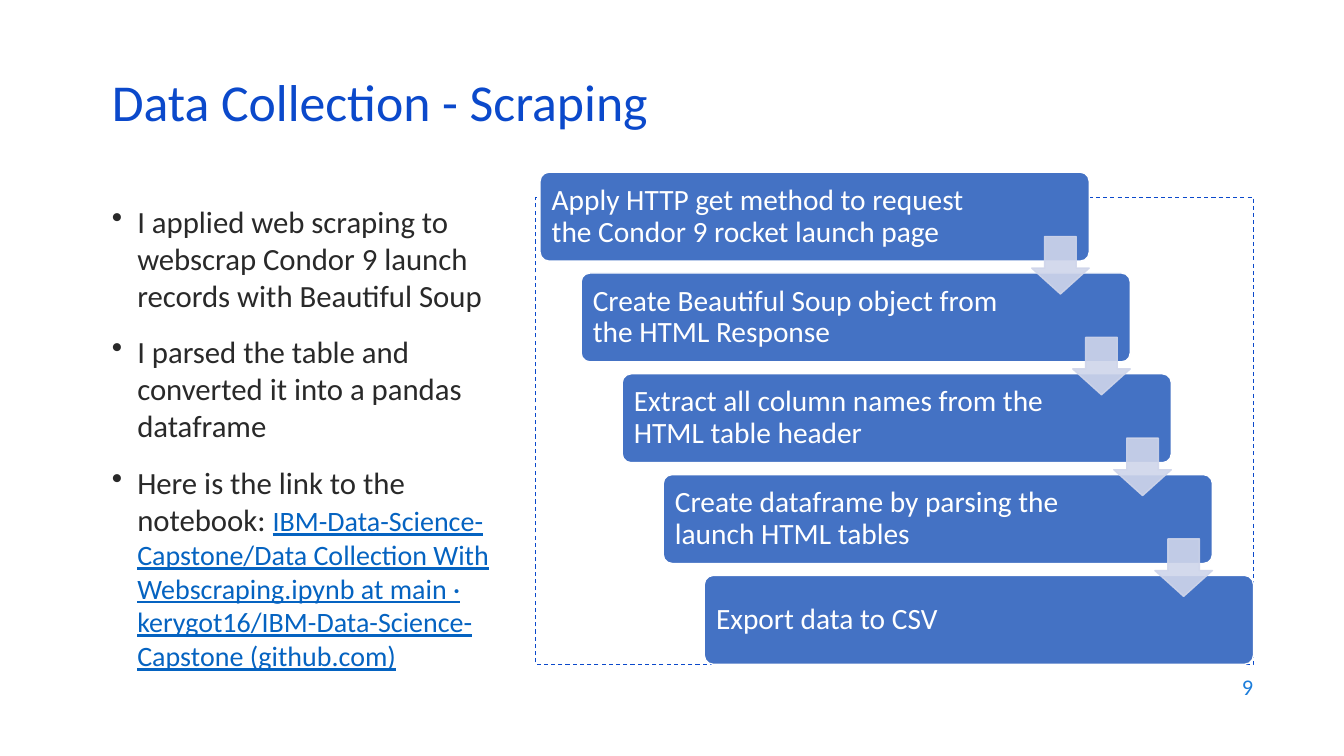
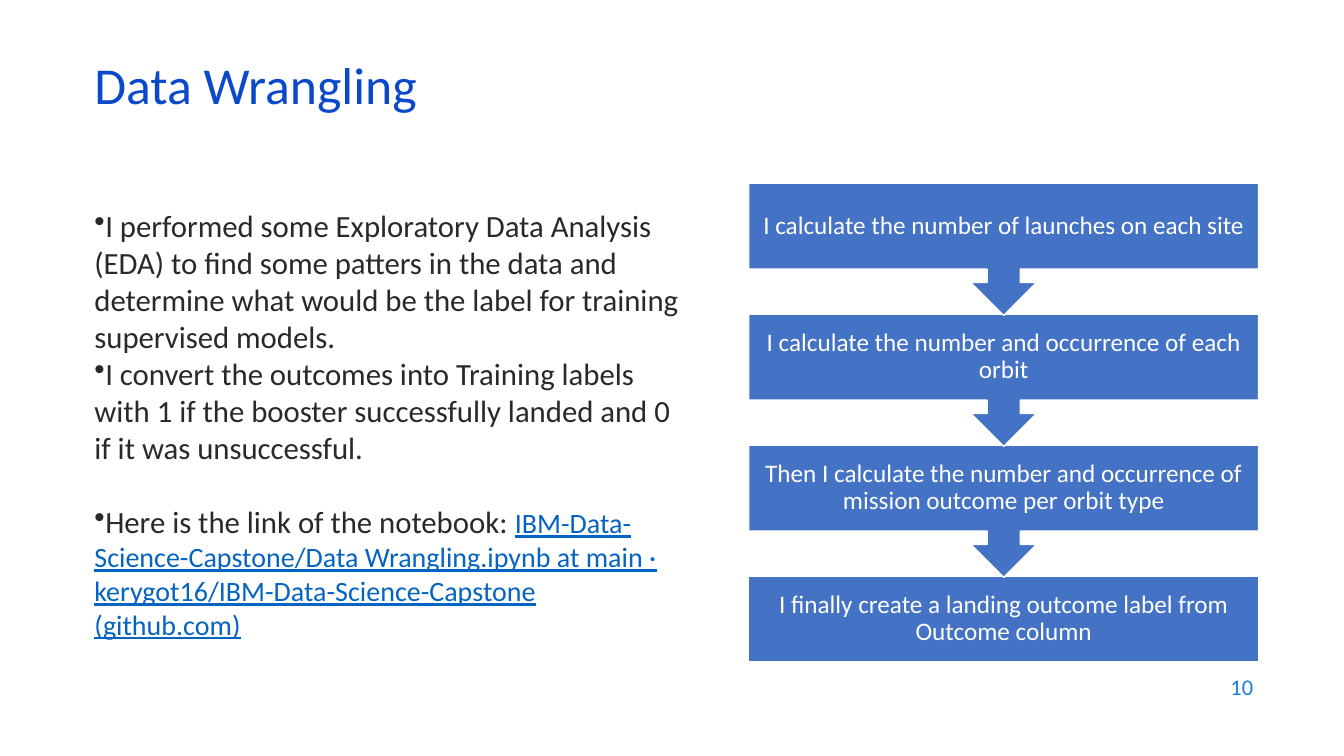
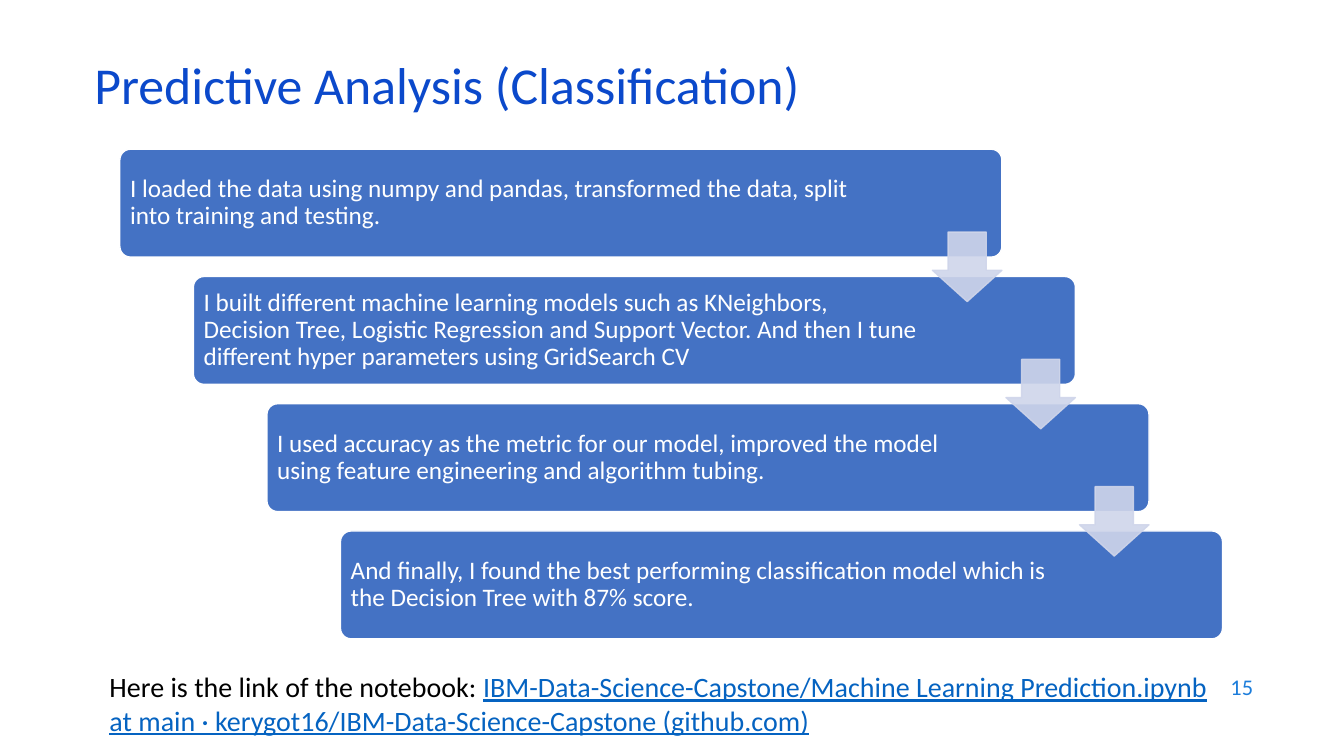
"""Builds three slides on collecting, wrangling and modelling launch data."""
from dataclasses import dataclass

from lxml import etree
from pptx import Presentation
from pptx.dml.color import RGBColor
from pptx.enum.dml import MSO_LINE
from pptx.enum.shapes import MSO_SHAPE
from pptx.enum.text import MSO_ANCHOR, PP_ALIGN
from pptx.oxml.ns import qn
from pptx.util import Cm, Pt

RECT, ROUND = MSO_SHAPE.RECTANGLE, MSO_SHAPE.ROUNDED_RECTANGLE
ARROW, CALLOUT = MSO_SHAPE.DOWN_ARROW, MSO_SHAPE.DOWN_ARROW_CALLOUT
TOP, MIDDLE = MSO_ANCHOR.TOP, MSO_ANCHOR.MIDDLE
LEFT, CENTER, RIGHT = PP_ALIGN.LEFT, PP_ALIGN.CENTER, PP_ALIGN.RIGHT
DASH = MSO_LINE.DASH


@dataclass(frozen=True)
class Theme:
    """Holds the font, colours and type sizes."""
    font: str = "Calibri"
    title: str = "0B49CB"
    page: str = "1C7DDB"
    body: str = "292929"
    black: str = "000000"
    white: str = "FFFFFF"
    link: str = "0563C1"
    box: str = "4472C4"
    arrow: str = "CFD5EA"
    head_pt: int = 37
    body_pt: int = 22
    step_pt: int = 21
    link_pt: int = 20
    small_pt: int = 18
    page_pt: int = 16


T = Theme()

SCRAPE = {
    "page": "9",
    "title": "Data Collection - Scraping",
    "head": (2.57, 1.93),
    "body": (2.57, 4.98, 10.92, 12.57),
    "text": [
        "I applied web scraping to webscrap Condor 9 launch records with Beautiful Soup",
        "I parsed the table and converted it into a pandas dataframe",
        ("Here is the link to the notebook: ",
         "IBM-Data-Science-Capstone/Data Collection With Webscraping.ipynb at main · "
         "kerygot16/IBM-Data-Science-Capstone (github.com)"),
    ],
    "format": {"bullet": 0.64, "gaps": (0, 14, 14)},
}
SCRAPE_STEPS = [
    "Apply HTTP get method to request the Condor 9 rocket launch page",
    "Create Beautiful Soup object from the HTML Response",
    "Extract all column names from the HTML table header",
    "Create dataframe by parsing the launch HTML tables",
    "Export data to CSV",
]
FRAME = (13.49, 4.98, 18.11, 11.76)

WRANGLE = {
    "page": "10",
    "title": "Data Wrangling",
    "head": (2.13, 1.5),
    "body": (2.13, 5.08, 15.32, 12.34),
    "text": [
        "I performed some Exploratory Data Analysis (EDA) to find some patters in the data "
        "and determine what would be the label for training supervised models.",
        "I convert the outcomes into Training labels with 1 if the booster successfully "
        "landed and 0 if it was unsuccessful.",
        ("Here is the link of the notebook: ",
         "IBM-Data-Science-Capstone/Data Wrangling.ipynb at main · "
         "kerygot16/IBM-Data-Science-Capstone (github.com)"),
    ],
    "format": {"bullet": 0, "gaps": (0, 0, 26.8)},
}
WRANGLE_STEPS = [
    "I calculate the number of launches on each site",
    "I calculate the number and occurrence of each orbit",
    "Then I calculate the number and occurrence of mission outcome per orbit type",
    "I finally create a landing outcome label from Outcome column",
]

PREDICT = {
    "page": "15",
    "title": "Predictive Analysis (Classification)",
    "head": (2.13, 1.5),
    "body": (2.51, 16.74, 28.27, 1.93),
    "text": [
        ("Here is the link of the notebook: ",
         "IBM-Data-Science-Capstone/Machine Learning Prediction.ipynb at main · "
         "kerygot16/IBM-Data-Science-Capstone (github.com)"),
    ],
    "format": {"size": T.link_pt, "color": T.black},
}
PREDICT_STEPS = [
    "I loaded the data using numpy and pandas, transformed the data, split into training "
    "and testing.",
    "I built different machine learning models such as KNeighbors, Decision Tree, Logistic "
    "Regression and Support Vector. And then I tune different hyper parameters using "
    "GridSearch CV",
    "I used accuracy as the metric for our model, improved the model using feature "
    "engineering and algorithm tubing.",
    "And finally, I found the best performing classification model which is the Decision "
    "Tree with 87% score.",
]


def place(area):
    return [Cm(side) for side in area]


def write(shape, text, size=T.body_pt, color=T.body, align=LEFT, anchor=TOP,
          space=1.0, pads=(0.25, 0.13, 0.25, 0.13), bullet=None, gaps=(0,)):
    frame = shape.text_frame
    frame.word_wrap = True
    frame.vertical_anchor = anchor
    (frame.margin_left, frame.margin_top,
     frame.margin_right, frame.margin_bottom) = place(pads)
    items = [text] if isinstance(text, str) else text
    for num, (item, gap) in enumerate(zip(items, gaps)):
        para = frame.add_paragraph() if num else frame.paragraphs[0]
        if bullet is not None:
            props = para._p.get_or_add_pPr()
            props.set("marL", str(Cm(bullet)))
            props.set("indent", str(-Cm(bullet)))
            etree.SubElement(props, qn("a:buChar")).set("char", "•")
        para.alignment = align
        para.line_spacing = space
        para.space_before = Pt(gap)
        parts = (item,) if isinstance(item, str) else item
        for pos, part in enumerate(parts):
            run = para.add_run()
            run.text = part
            font = run.font
            font.name = T.font
            font.size = Pt(T.link_pt if pos else size)
            font.color.rgb = RGBColor.from_string(T.link if pos else color)
            if pos:
                font.underline = True


def draw(slide, kind, area, fill=None, line=T.white, width=1):
    shape = slide.shapes.add_shape(kind, *place(area))
    shape.shadow.inherit = False
    if fill:
        shape.fill.solid()
        shape.fill.fore_color.rgb = RGBColor.from_string(fill)
    else:
        shape.fill.background()
    shape.line.color.rgb = RGBColor.from_string(line)
    shape.line.width = Pt(width)
    return shape


def start(deck, data):
    slide = deck.slides.add_slide(deck.slide_layouts[6])
    add = slide.shapes.add_textbox
    write(add(*place((24.21, 16.74, 7.62, 1.12))), data["page"], size=T.page_pt,
          color=T.page, align=RIGHT, anchor=MIDDLE)
    write(add(*place(data["body"])), data["text"], **data["format"])
    write(add(*place((*data["head"], 29.21, 1.52))), data["title"], size=T.head_pt,
          color=T.title, anchor=MIDDLE, space=0.8)
    return slide


def stairs(slide, steps, area, box, size, pad, trims, tip, rise):
    left, top, wide, high = area
    width, tall = box
    last = len(steps) - 1
    across, down = (wide - width) / last, (high - tall) / last
    spots = [(left + num * across, top + num * down) for num in range(last + 1)]
    for (x, y), text, trim in zip(spots, steps, trims):
        step = draw(slide, ROUND, (x, y, width, tall), T.box)
        step.adjustments[0] = 0.1
        write(step, text, size=size, color=T.white, anchor=MIDDLE, space=0.9,
              pads=(pad, pad, trim, pad))
    for x, y in spots[:-1]:
        arrow = draw(slide, ARROW, (x + width - tip, y + tall - rise, tip, tip),
                     T.arrow, T.arrow)
        arrow.adjustments[0], arrow.adjustments[1] = 0.55, 0.45
        for tint in list(arrow._element.spPr.iter(qn("a:srgbClr"))):
            etree.SubElement(tint, qn("a:alpha")).set("val", "90000")


def stack(slide, steps, left, top, width, pitch):
    last = len(steps) - 1
    for num in range(last, -1, -1):
        kind, tall = (RECT, 2.16) if num == last else (CALLOUT, 3.33)
        step = draw(slide, kind, (left, top + num * pitch, width, tall), T.box)
        write(step, steps[num], size=T.small_pt, color=T.white, align=CENTER,
              anchor=MIDDLE, space=0.9, pads=(0.35,) * 4)


def main():
    deck = Presentation()
    deck.slide_width, deck.slide_height = Cm(33.87), Cm(19.05)

    slide = start(deck, SCRAPE)
    frame = draw(slide, RECT, FRAME, line=T.title, width=0.75)
    frame.line.dash_style = DASH
    stairs(slide, SCRAPE_STEPS, (13.61, 4.34, 17.98, 12.4), (13.84, 2.24),
           size=T.step_pt, pad=0.23, trims=(2.77,) * 5, tip=1.45, rise=0.62)

    slide = start(deck, WRANGLE)
    stack(slide, WRANGLE_STEPS, left=18.87, top=4.62, width=12.85, pitch=3.3)

    slide = start(deck, PREDICT)
    stairs(slide, PREDICT_STEPS, (3.02, 3.76, 27.79, 12.34), (22.23, 2.72),
           size=T.small_pt, pad=0.18, trims=(3.18, 3.84, 3.84, 3.84), tip=1.75, rise=0.63)

    deck.save("out.pptx")


if __name__ == "__main__":
    main()
